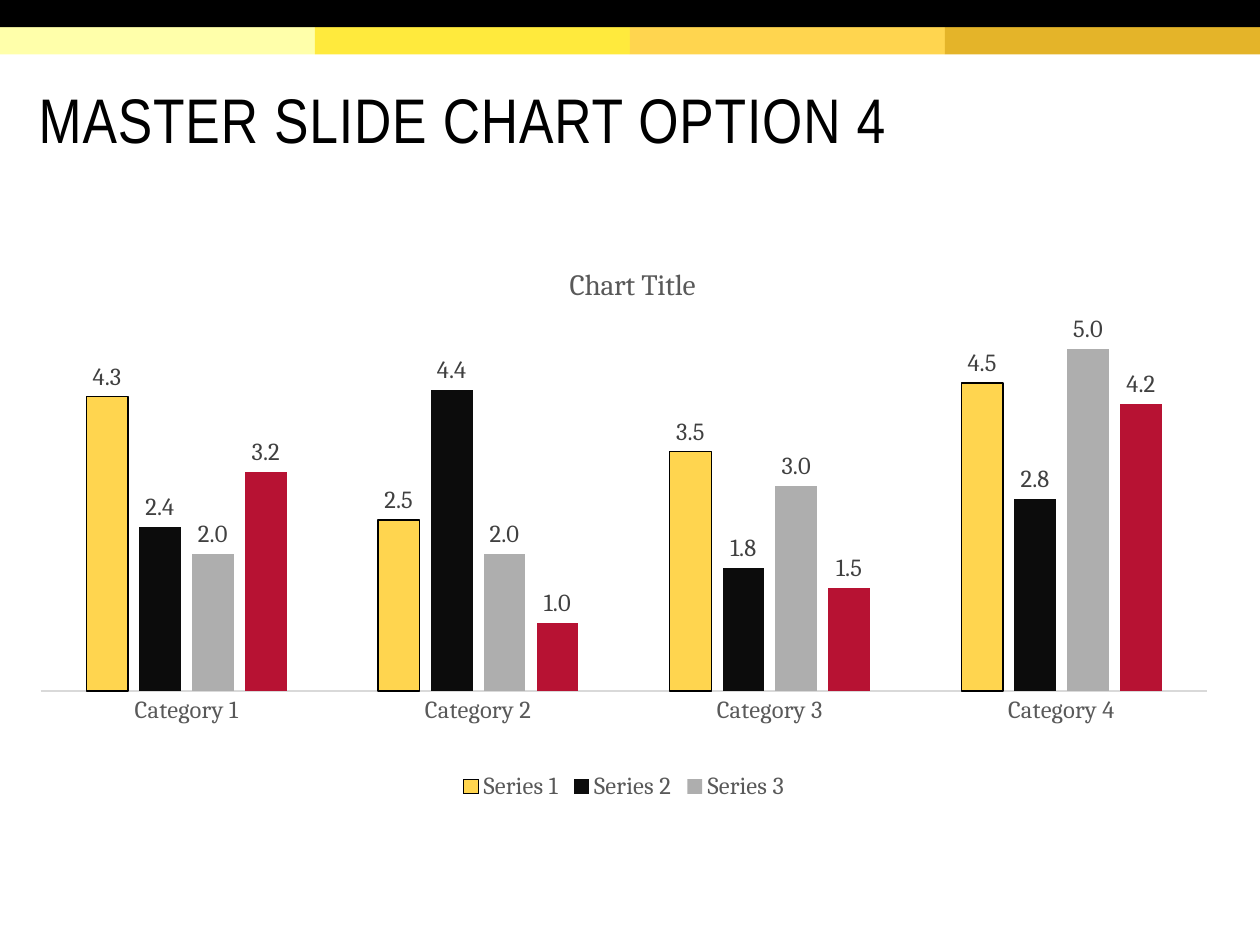
from dataclasses import dataclass

from lxml import etree
from pptx import Presentation
from pptx.chart.data import CategoryChartData
from pptx.dml.color import RGBColor
from pptx.enum.chart import (XL_CHART_TYPE, XL_LABEL_POSITION,
                             XL_LEGEND_POSITION, XL_TICK_MARK)
from pptx.enum.shapes import MSO_SHAPE
from pptx.enum.text import MSO_ANCHOR, MSO_AUTO_SIZE, PP_ALIGN
from pptx.oxml.ns import qn
from pptx.util import Cm, Pt

RECTANGLE = MSO_SHAPE.RECTANGLE
COLUMN_CLUSTERED = XL_CHART_TYPE.COLUMN_CLUSTERED
OUTSIDE_END = XL_LABEL_POSITION.OUTSIDE_END
LEGEND_BOTTOM = XL_LEGEND_POSITION.BOTTOM
NO_TICK = XL_TICK_MARK.NONE
LEFT = PP_ALIGN.LEFT
MIDDLE = MSO_ANCHOR.MIDDLE
NO_AUTOFIT = MSO_AUTO_SIZE.NONE
TITLE_ONLY = 5


@dataclass(frozen=True)
class Theme:
    heading_font: str = "Arial Narrow"
    body_font: str = "Cambria"
    title_size: float = 36
    chart_title_size: float = 16.8
    chart_size: float = 14
    black: str = "000000"
    muted: str = "595959"
    label: str = "404040"
    axis: str = "D9D9D9"
    bands: tuple = ("FFFFAA", "FFEA3D", "FFD54F", "E4B429")
    series: tuple = ("FFD54F", "0C0C0C", "AEAEAE", "B71233")


THEME = Theme()
SLIDE_WIDTH, SLIDE_HEIGHT = 25.4, 19.05
BAND_HEIGHT = 0.55
MARGIN, CONTENT_WIDTH = 0.53, 24.1

CATEGORIES = [f"Category {number}" for number in range(1, 5)]
SERIES = {
    "Series 1": (4.3, 2.5, 3.5, 4.5),
    "Series 2": (2.4, 4.4, 1.8, 2.8),
    "Series 3": (2, 2, 3, 5),
    "Series 4": (3.2, 1, 1.5, 4.2),
}


def set_font(font, name, size, color):
    font.name = name
    font.size = Pt(size)
    font.bold = False
    font.color.rgb = RGBColor.from_string(color)


def add_band(slide, left, top, width, color):
    shape = slide.shapes.add_shape(
        RECTANGLE, Cm(left), Cm(top), Cm(width), Cm(BAND_HEIGHT))
    shape.shadow.inherit = False
    shape.fill.solid()
    shape.fill.fore_color.rgb = RGBColor.from_string(color)
    shape.line.fill.background()


def set_title(slide, text):
    title = slide.shapes.title
    title.left, title.top = Cm(MARGIN), Cm(1.19)
    title.width, title.height = Cm(CONTENT_WIDTH), Cm(2.49)
    frame = title.text_frame
    frame.auto_size = NO_AUTOFIT
    frame.word_wrap = True
    frame.vertical_anchor = MIDDLE
    frame.margin_left = frame.margin_right = frame.margin_top = Cm(0.25)
    frame.margin_bottom = Cm(0.13)
    paragraph = frame.paragraphs[0]
    paragraph.alignment = LEFT
    paragraph.line_spacing = 0.85
    run = paragraph.add_run()
    run.text = text
    set_font(run.font, THEME.heading_font, THEME.title_size, THEME.black)
    run.font._element.set("spc", "50")  # half a point between letters


def set_layout(parent, index, **values):
    """Give a chart part a manual layout, as fractions of the chart."""
    for old_layout in parent.findall(qn("c:layout")):
        parent.remove(old_layout)
    layout = etree.Element(qn("c:layout"))
    manual = etree.SubElement(layout, qn("c:manualLayout"))
    for tag, value in values.items():
        etree.SubElement(manual, qn(f"c:{tag}")).set("val", str(value))
    parent.insert(index, layout)


def hide_legend_entry(legend, index):
    entry = etree.Element(qn("c:legendEntry"))
    etree.SubElement(entry, qn("c:idx")).set("val", str(index))
    etree.SubElement(entry, qn("c:delete")).set("val", "1")
    legend._element.insert(1, entry)


def format_chart_title(chart, text):
    chart.has_title = True
    title = chart.chart_title
    run = title.text_frame.paragraphs[0].add_run()
    run.text = text
    set_font(run.font, THEME.body_font, THEME.chart_title_size, THEME.muted)
    set_layout(title._element, 1, xMode="edge", yMode="edge", x=0.45, y=0.05)


def format_axes(chart):
    category_axis = chart.category_axis
    category_axis.major_tick_mark = category_axis.minor_tick_mark = NO_TICK
    category_axis.format.line.color.rgb = RGBColor.from_string(THEME.axis)
    category_axis.format.line.width = Pt(0.75)
    set_font(category_axis.tick_labels.font, THEME.body_font,
             THEME.chart_size, THEME.muted)
    value_axis = chart.value_axis
    value_axis.visible = False
    value_axis.has_major_gridlines = False
    value_axis.minimum_scale, value_axis.maximum_scale = 0, 6


def format_series(plot):
    plot.gap_width, plot.overlap = 219, -27
    plot.vary_by_categories = False
    for series, color in zip(plot.series, THEME.series):
        series.format.fill.solid()
        series.format.fill.fore_color.rgb = RGBColor.from_string(color)
        series.format.line.fill.background()
        labels = series.data_labels
        labels.show_value = True
        labels.position = OUTSIDE_END
        labels.number_format = "0.0"
        labels.number_format_is_linked = False
        set_font(labels.font, THEME.body_font, THEME.chart_size, THEME.label)
    # Only the first series is outlined
    outline = plot.series[0].format.line
    outline.color.rgb = RGBColor.from_string(THEME.black)
    outline.width = Pt(0.75)


def add_column_chart(slide):
    data = CategoryChartData(number_format="0.0")
    data.categories = CATEGORIES
    for name, values in SERIES.items():
        data.add_series(name, values)
    chart = slide.shapes.add_chart(
        COLUMN_CLUSTERED, Cm(MARGIN), Cm(4.67), Cm(CONTENT_WIDTH), Cm(11.58),
        data).chart
    set_font(chart.font, THEME.body_font, THEME.chart_size, THEME.black)
    format_chart_title(chart, "Chart Title")
    format_axes(chart)
    format_series(chart.plots[0])
    plot_area = chart._chartSpace.chart.plotArea
    set_layout(plot_area, 0, layoutTarget="inner", xMode="edge", yMode="edge",
               x=0.012, y=0.085, w=0.976, h=0.715)

    # Legend lists the first three series
    chart.has_legend = True
    chart.legend.position = LEGEND_BOTTOM
    chart.legend.include_in_layout = False
    set_font(chart.legend.font, THEME.body_font, THEME.chart_size, THEME.muted)
    hide_legend_entry(chart.legend, len(SERIES) - 1)


def main():
    presentation = Presentation()
    presentation.slide_width = Cm(SLIDE_WIDTH)
    presentation.slide_height = Cm(SLIDE_HEIGHT)
    slide = presentation.slides.add_slide(
        presentation.slide_layouts[TITLE_ONLY])

    # Header: black bar over four equal colour bands
    band_width = SLIDE_WIDTH / len(THEME.bands)
    for index, color in enumerate(THEME.bands):
        add_band(slide, index * band_width, BAND_HEIGHT, band_width, color)
    add_band(slide, 0, 0, SLIDE_WIDTH, THEME.black)

    # Title and chart
    set_title(slide, "MASTER SLIDE CHART OPTION 4")
    add_column_chart(slide)
    presentation.save("out.pptx")


if __name__ == "__main__":
    main()
